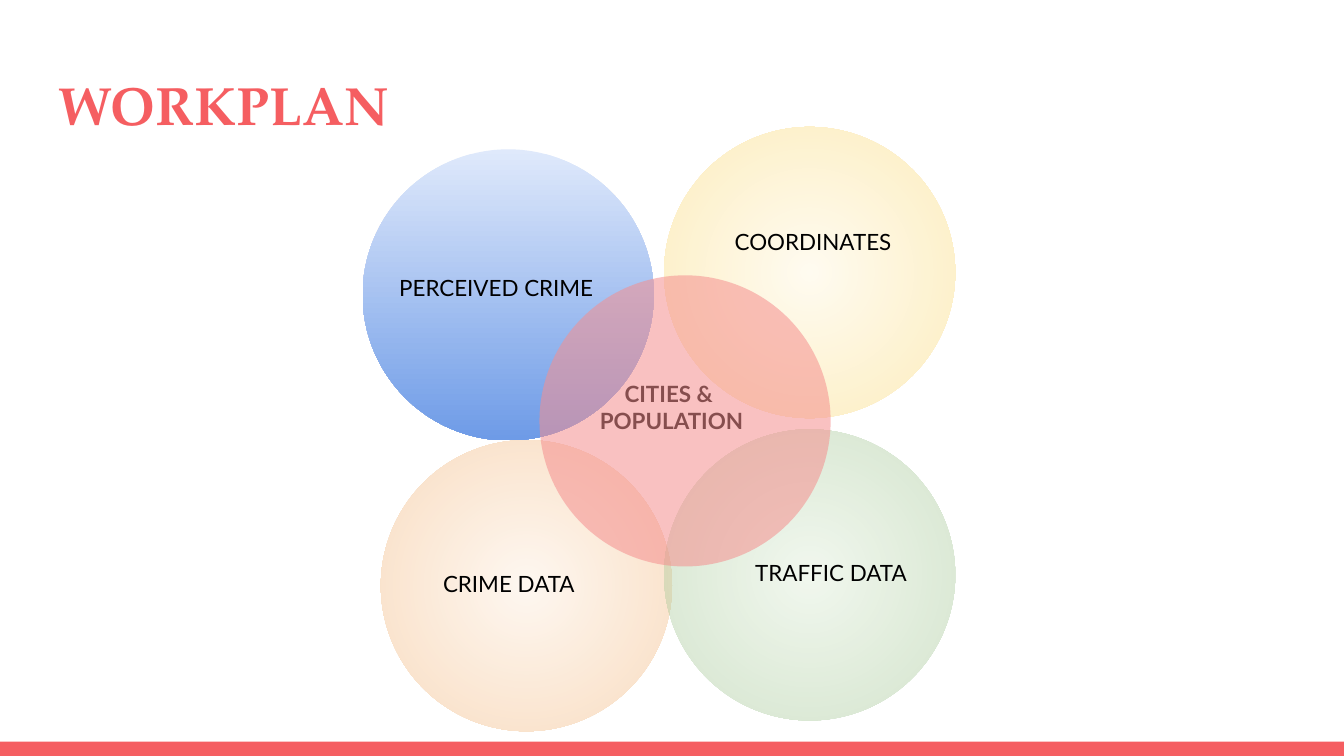
from lxml import etree
from pptx import Presentation
from pptx.dml.color import RGBColor
from pptx.enum.shapes import MSO_SHAPE
from pptx.enum.text import MSO_AUTO_SIZE, PP_ALIGN
from pptx.oxml.ns import qn
from pptx.util import Pt

RECTANGLE, OVAL = MSO_SHAPE.RECTANGLE, MSO_SHAPE.OVAL
LEFT, CENTER = PP_ALIGN.LEFT, PP_ALIGN.CENTER
FIT, FIXED = MSO_AUTO_SIZE.SHAPE_TO_FIT_TEXT, MSO_AUTO_SIZE.NONE
DIAMETER = 156
INSET = 7.2
CORAL, BLACK = "F55E61", "000000"

HALOS = [
    (204, 235.75, "FDECDB", "F0A963"),
    (355.75, 230, "DCECD5", "93BC81"),
    (355.75, 68, "FFF6DB", "FAD25C"),
]
LABELS = [
    (397.5, 292.5, "TRAFFIC DATA"),
    (386.5, 115, "COORDINATES"),
    (230.25, 298, "CRIME DATA"),
]


def color(value):
    return RGBColor.from_string(value)


class WorkplanSlide:
    """Holds the text style and the page, and draws each kind of element."""

    def __init__(self, page):
        self.page = page
        self.style = {"name": "Lato", "size": Pt(12), "bold": False}

    def shape(self, kind, left, top, width, height):
        shape = self.page.shapes.add_shape(kind, Pt(left), Pt(top), Pt(width), Pt(height))
        shape.shadow.inherit = False
        shape.line.fill.background()
        return shape

    def solid(self, kind, left, top, width, height, fill, opacity=100):
        shape = self.shape(kind, left, top, width, height)
        shape.fill.solid()
        shape.fill.fore_color.rgb = color(fill)
        self.fade(shape, opacity)

    def gradient_circle(self, left, top, start, end, radial=False, opacity=100):
        circle = self.shape(OVAL, left, top, DIAMETER, DIAMETER)
        circle.fill.gradient()
        circle.fill.gradient_angle = 270
        for stop, value in zip(circle.fill.gradient_stops, (start, end)):
            stop.color.rgb = color(value)
        if radial:
            linear = circle.element.spPr.find(".//" + qn("a:lin"))
            radial_path = etree.Element(qn("a:path"), {"path": "circle"})
            center = dict.fromkeys("ltrb", "50000")
            etree.SubElement(radial_path, qn("a:fillToRect"), center)
            linear.getparent().replace(linear, radial_path)
        self.fade(circle, opacity)

    def fade(self, shape, opacity):
        if opacity < 100:
            for node in shape.element.spPr.iter(qn("a:srgbClr")):
                etree.SubElement(node, qn("a:alpha"), {"val": str(opacity * 1000)})

    def text(self, left, top, width, height, lines, fill=BLACK, align=LEFT, fit=FIT, **changes):
        box = self.page.shapes.add_textbox(Pt(left), Pt(top), Pt(width), Pt(height))
        frame = box.text_frame
        layout = {"word_wrap": True, "auto_size": fit}
        layout.update({f"margin_{side}": Pt(INSET) for side in ("left", "top", "right", "bottom")})
        for name, value in layout.items():
            setattr(frame, name, value)
        for index, line in enumerate(lines):
            para = frame.add_paragraph() if index else frame.paragraphs[0]
            para.alignment = align
            span = para.add_run()
            span.text = line
            for name, value in (self.style | changes).items():
                setattr(span.font, name, value)
            span.font.color.rgb = color(fill)

    def label(self, left, top, wording):
        self.text(left, top, 150.5, 28.75, [wording])


def main():
    deck = Presentation()
    deck.slide_width, deck.slide_height = Pt(720), Pt(405)
    slide = WorkplanSlide(deck.slides.add_slide(deck.slide_layouts[6]))

    slide.solid(RECTANGLE, 0, 397.25, 720, 7.75, CORAL)
    for left, top, start, end in HALOS:
        slide.gradient_circle(left, top, start, end, radial=True, opacity=40)
    slide.text(24.5, 31, 671, 49, ["WORKPLAN"], fill=CORAL, fit=FIXED,
               name="TeX Gyre Pagella", size=Pt(28.8), bold=True)
    for left, top, wording in LABELS:
        slide.label(left, top, wording)
    slide.text(288.75, 196.5, 142, 44, ["CITIES & ", "POPULATION"], align=CENTER, bold=True)
    slide.gradient_circle(194.25, 80, "DFE9FB", "6E9BE7")
    slide.label(206.75, 139.5, "PERCEIVED CRIME")
    slide.solid(OVAL, 289, 147.5, DIAMETER, DIAMETER, "F58F8F", opacity=55)
    deck.save("out.pptx")


if __name__ == "__main__":
    main()
